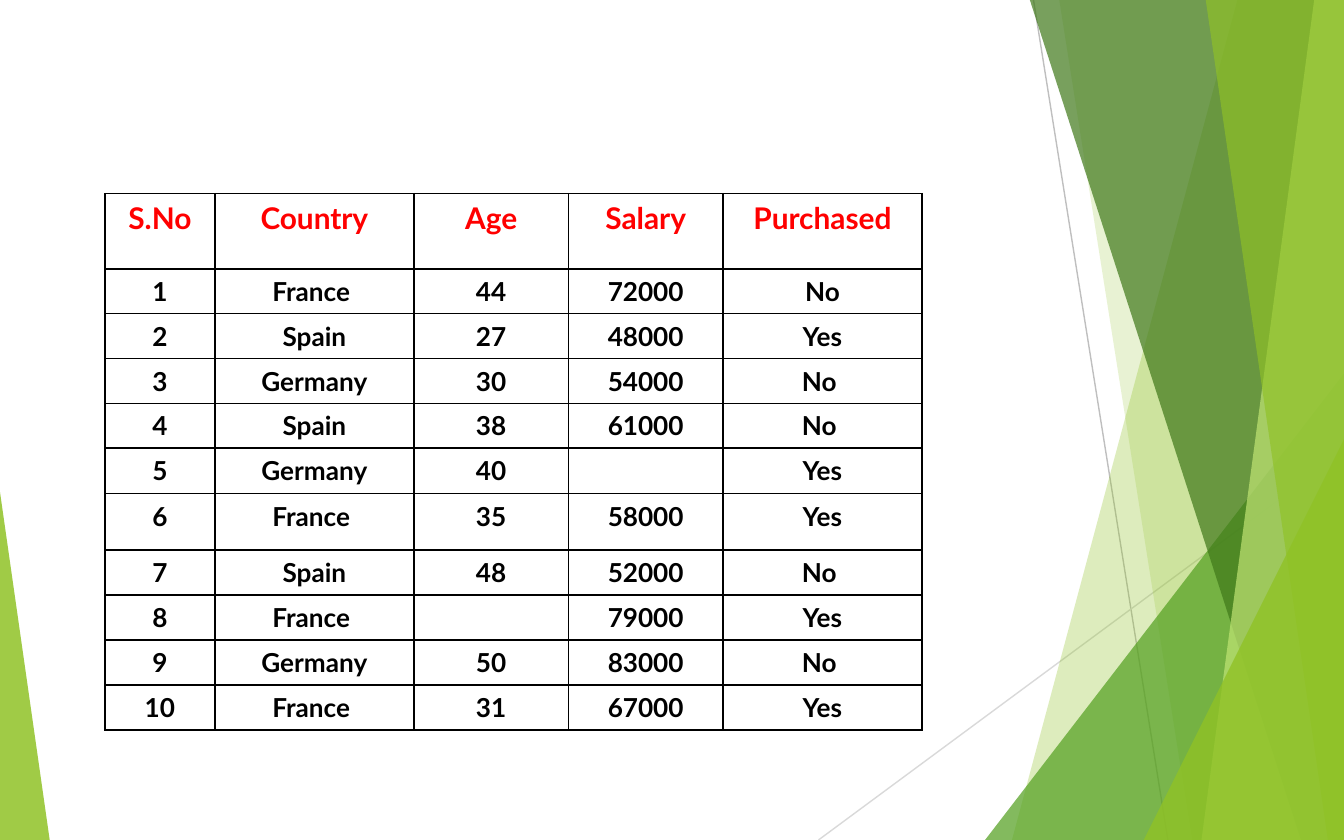
from dataclasses import dataclass

from lxml.etree import SubElement
from pptx import Presentation
from pptx.dml.color import RGBColor
from pptx.enum.shapes import MSO_CONNECTOR, MSO_SHAPE
from pptx.enum.text import PP_ALIGN
from pptx.oxml import parse_xml
from pptx.oxml.ns import nsdecls, qn
from pptx.util import Inches, Pt


@dataclass(frozen=True)
class Theme:
    font: str = "Lato"
    header_size: int = 16
    body_size: int = 14
    header_text: str = "FF0000"
    body_text: str = "000000"
    border: str = "000000"
    lime: str = "90C226"
    pale_lime: str = "C0E474"
    green: str = "54A021"
    dark_green: str = "3F7819"
    gray: str = "BFBFBF"
    light_gray: str = "D9D9D9"


theme = Theme()


def write_text(cell, text, *, size, color, bold=True, align=PP_ALIGN.CENTER):
    paragraph = cell.text_frame.paragraphs[0]
    paragraph.alignment = align
    if not text:
        # An empty cell still needs its type size, or the row grows
        SubElement(paragraph._p, qn("a:endParaRPr"), sz=str(size * 100))
        return
    run = paragraph.add_run()
    run.text = text
    run.font.name = theme.font
    run.font.size = Pt(size)
    run.font.bold = bold
    run.font.color.rgb = RGBColor.from_string(color)


def paint(facet, color, opacity):
    facet.shadow.inherit = False
    facet.line.fill.background()
    facet.fill.solid()
    facet.fill.fore_color.rgb = RGBColor.from_string(color)
    rgb = facet._element.spPr.find(".//" + qn("a:srgbClr"))
    SubElement(rgb, qn("a:alpha"), val=str(opacity * 1000))


prs = Presentation()
prs.slide_width, prs.slide_height = Inches(10), Inches(6.25)
slide = prs.slides.add_slide(prs.slide_layouts[6])
right, bottom, top = 10, 6.25, -0.01

# Thin crossing lines
for x1, y1, x2, y2, color in [
    (7.69, 0, 8.69, bottom, theme.gray),
    (right, 3.36, 6.09, bottom, theme.light_gray),
]:
    ray = slide.shapes.add_connector(
        MSO_CONNECTOR.STRAIGHT, Inches(x1), Inches(y1), Inches(x2), Inches(y2))
    ray.line.color.rgb = RGBColor.from_string(color)
    ray.line.width = Pt(0.75)
    SubElement(ray._element.spPr, qn("a:effectLst"))

# Facets, back to front: bands run from the top edge to the bottom edge,
# triangles stand on the bottom edge
facets = [
    ("band", 9.21, 7.53, theme.lime, 30),
    ("band", 7.88, 8.87, theme.lime, 20),
    ("triangle", 7.33, 2.78, 2.67, 1, theme.green, 72),
    ("band", 7.66, 9.68, theme.dark_green, 70),
    ("band", 9.78, 8.94, theme.pale_lime, 70),
    ("band", 8.97, 9.88, theme.lime, 65),
    ("triangle", 8.51, 3.27, 1.49, 1, theme.lime, 80),
    ("triangle", 0, 3.66, 0.37, 0, theme.lime, 85),
]
for kind, *geometry, color, opacity in facets:
    if kind == "band":
        top_x, bottom_x = geometry
        outline = slide.shapes.build_freeform(Inches(top_x), Inches(top))
        outline.add_line_segments([
            (Inches(right), Inches(top)),
            (Inches(right), Inches(bottom)),
            (Inches(bottom_x), Inches(bottom)),
        ], close=True)
        facet = outline.convert_to_shape()
    else:
        left, peak_y, width, peak = geometry
        facet = slide.shapes.add_shape(
            MSO_SHAPE.ISOSCELES_TRIANGLE, Inches(left), Inches(peak_y),
            Inches(width), Inches(bottom - peak_y))
        facet.adjustments[0] = peak
    paint(facet, color, opacity)

# Purchase records
records = [
    ("S.No", "Country", "Age", "Salary", "Purchased"),
    ("1", "France ", "44", "72000", "No"),
    ("2", "Spain", "27", "48000", "Yes"),
    ("3", "Germany", "30", "54000", "No "),
    ("4", "Spain", "38", "61000", "No "),
    ("5", "Germany", "40", "", "Yes"),
    ("6", "France ", "35", "58000", "Yes"),
    ("7", "Spain", "48", "52000", "No "),
    ("8", "France ", "", "79000", "Yes"),
    ("9", "Germany", "50", "83000", "No "),
    ("10", "France ", "31", "67000", "Yes"),
]
column_widths = [0.82, 1.48, 1.15, 1.15, 1.48]
tall_rows = {0: 0.56, 6: 0.42}

purchases = slide.shapes.add_table(
    len(records), len(column_widths),
    Inches(0.78), Inches(1.44), Inches(6.09), Inches(3.98)).table
purchases.first_row = purchases.horz_banding = False
for column, width in zip(purchases.columns, column_widths):
    column.width = Inches(width)

for row_index, record in enumerate(records):
    purchases.rows[row_index].height = Inches(tall_rows.get(row_index, 0.3))
    is_header = row_index == 0
    for column_index, value in enumerate(record):
        cell = purchases.cell(row_index, column_index)
        write_text(
            cell, value,
            size=theme.header_size if is_header else theme.body_size,
            color=theme.header_text if is_header else theme.body_text)
        cell.fill.background()
        # Borders come before the fill in the cell properties
        for position, side in enumerate("LRTB"):
            cell._tc.tcPr.insert(position, parse_xml(
                f'<a:ln{side} {nsdecls("a")} w="{Pt(1)}"><a:solidFill>'
                f'<a:srgbClr val="{theme.border}"/></a:solidFill></a:ln{side}>'))

prs.save("out.pptx")
